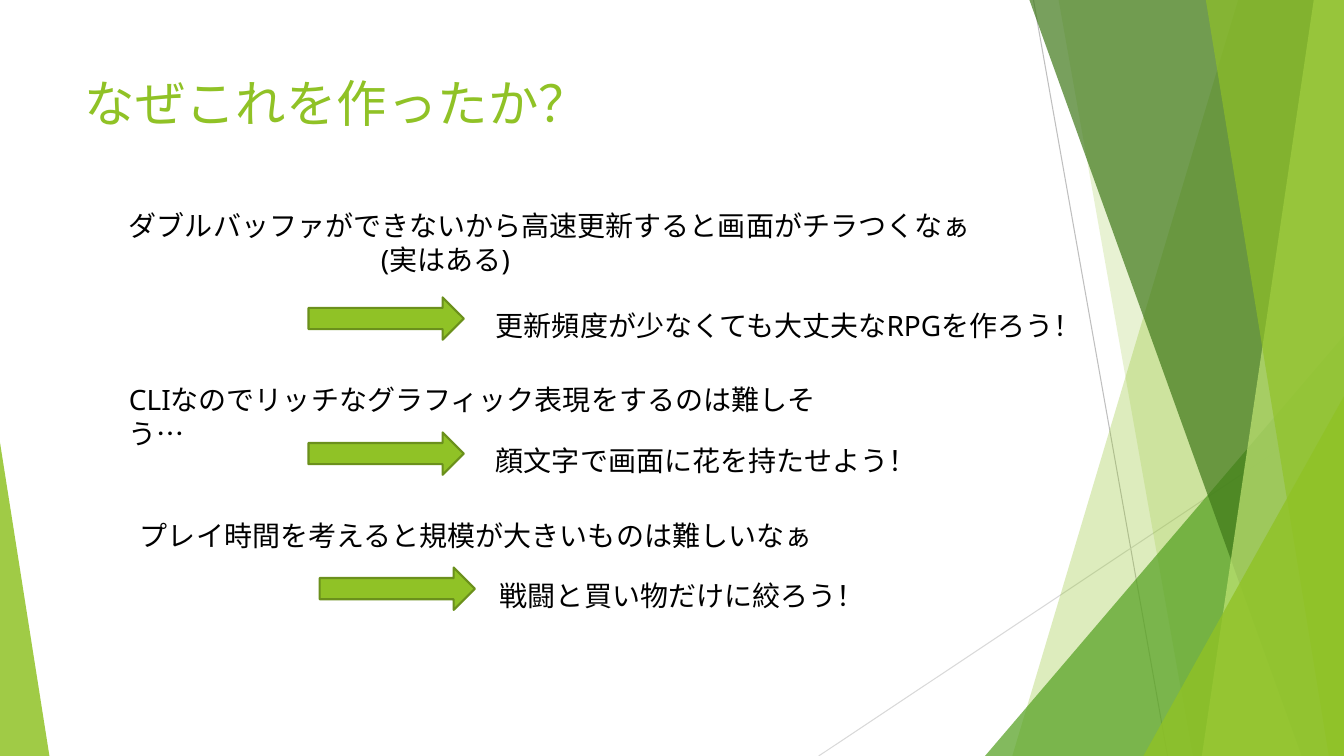
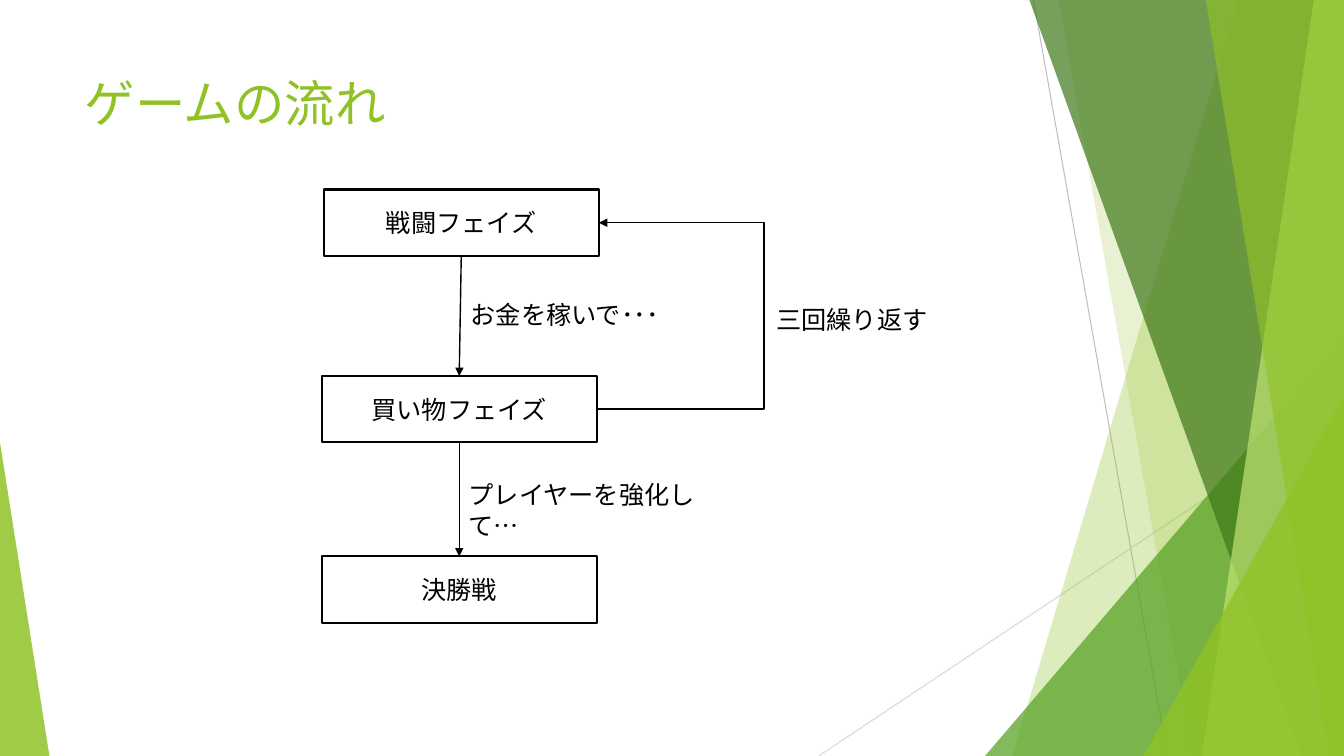
from lxml.etree import SubElement
from pptx import Presentation
from pptx.dml.color import RGBColor
from pptx.enum.shapes import MSO_CONNECTOR, MSO_SHAPE
from pptx.enum.text import MSO_ANCHOR, MSO_AUTO_SIZE, PP_ALIGN
from pptx.oxml.ns import qn
from pptx.util import Inches, Pt

WIDTH, HEIGHT = 13.33, 7.5
FONT = "Noto Sans"
GREEN, DARK_GREEN, BLACK, WHITE = "90C226", "6B901C", "000000", "FFFFFF"
TOP, LEFT, BOTTOM, RIGHT = range(4)  # connection sites of a rectangle


def color(hex_string):
    return RGBColor.from_string(hex_string)


class Deck:
    """Holds the shared style and the current slide."""

    def __init__(self):
        self.presentation = Presentation()
        self.presentation.slide_width = Inches(WIDTH)
        self.presentation.slide_height = Inches(HEIGHT)
        self.slide = None

    def add_slide(self, title):
        layout = self.presentation.slide_layouts[5]
        self.slide = self.presentation.slides.add_slide(layout)
        self.decorate()
        shape = self.slide.shapes.title
        shape.left, shape.top = Inches(0.74), Inches(0.67)
        shape.width, shape.height = Inches(9.4), Inches(1.44)
        self.set_text(shape, [title], 36, GREEN)

    def decorate(self):
        """Draw the facets along the slide's edges."""
        self.line(10.25, 0, 11.58, HEIGHT, "BFBFBF", 0.75)
        self.line(WIDTH, 4.03, 8.12, HEIGHT, "D9D9D9", 0.75)
        self.facet(12.28, 10.04, GREEN, 30)
        self.facet(10.5, 11.83, GREEN, 20)
        self.triangle(9.77, 3.33, 3.56, 1, "54A021", 72)
        self.facet(10.21, 12.91, "3F7819", 70)
        self.facet(13.03, 11.92, "C0E474", 70)
        self.facet(11.96, 13.18, GREEN, 65)
        self.triangle(11.34, 3.93, 1.99, 1, GREEN, 80)
        self.triangle(0, 4.39, 0.49, 0, GREEN, 85)

    def facet(self, top_x, bottom_x, fill, opacity):
        builder = self.slide.shapes.build_freeform(Inches(top_x), Inches(0))
        corners = [(WIDTH, 0), (WIDTH, HEIGHT), (bottom_x, HEIGHT)]
        builder.add_line_segments([(Inches(x), Inches(y)) for x, y in corners])
        self.paint(builder.convert_to_shape(), fill, opacity=opacity)

    def triangle(self, left, top, width, apex, fill, opacity):
        shape = self.shape(MSO_SHAPE.ISOSCELES_TRIANGLE, left, top, width, HEIGHT - top)
        shape.adjustments[0] = apex
        self.paint(shape, fill, opacity=opacity)

    def shape(self, kind, left, top, width, height):
        return self.slide.shapes.add_shape(
            kind, Inches(left), Inches(top), Inches(width), Inches(height))

    def paint(self, shape, fill, outline=None, opacity=100):
        shape.shadow.inherit = False
        shape.fill.solid()
        shape.fill.fore_color.rgb = color(fill)
        if opacity < 100:
            fill_color = shape._element.spPr.find(qn("a:solidFill"))[0]
            SubElement(fill_color, qn("a:alpha"), val=str(opacity * 1000))
        if outline:
            shape.line.color.rgb = color(outline)
            shape.line.width = Pt(1.5)
        else:
            shape.line.fill.background()

    def set_text(self, shape, lines, size, font_color=BLACK,
                 anchor=MSO_ANCHOR.TOP, alignment=PP_ALIGN.LEFT):
        frame = shape.text_frame
        frame.text = "\n".join(lines)
        frame.word_wrap = True
        frame.auto_size = MSO_AUTO_SIZE.NONE
        frame.vertical_anchor = anchor
        for paragraph in frame.paragraphs:
            paragraph.alignment = alignment
            for run in paragraph.runs:
                run.font.name = FONT
                run.font.size = Pt(size)
                run.font.color.rgb = color(font_color)

    def text(self, left, top, width, lines, size, height=0.44):
        box = self.slide.shapes.add_textbox(
            Inches(left), Inches(top), Inches(width), Inches(height))
        self.set_text(box, lines, size)
        return box

    def block_arrow(self, left, top):
        self.paint(self.shape(MSO_SHAPE.RIGHT_ARROW, left, top, 1.54, 0.42),
                   GREEN, DARK_GREEN)

    def phase(self, left, top, label):
        box = self.shape(MSO_SHAPE.RECTANGLE, left, top, 2.73, 0.66)
        self.paint(box, WHITE, BLACK)
        self.set_text(box, [label], 18, anchor=MSO_ANCHOR.MIDDLE,
                      alignment=PP_ALIGN.CENTER)
        return box

    def line(self, x1, y1, x2, y2, line_color, width, kind=MSO_CONNECTOR.STRAIGHT):
        connector = self.slide.shapes.add_connector(
            kind, Inches(x1), Inches(y1), Inches(x2), Inches(y2))
        connector.line.color.rgb = color(line_color)
        connector.line.width = Pt(width)
        SubElement(connector._element.spPr, qn("a:effectLst"))
        return connector

    def link(self, source, source_site, target, target_site,
             kind=MSO_CONNECTOR.STRAIGHT):
        connector = self.line(0, 0, 1, 1, BLACK, 1, kind)
        connector.begin_connect(source, source_site)
        connector.end_connect(target, target_site)
        outline = connector._element.spPr.find(qn("a:ln"))
        SubElement(outline, qn("a:tailEnd"), type="triangle")
        return connector

    def bend(self, connector, reach):
        """Push the elbow out by a distance in inches."""
        ratio = Inches(reach) / connector.width
        geometry = connector._element.spPr.find(qn("a:prstGeom"))
        guides = geometry.find(qn("a:avLst"))
        SubElement(guides, qn("a:gd"), name="adj1", fmla=f"val {round(ratio * 100000)}")


deck = Deck()

# Reasons: each problem leads to a decision
deck.add_slide("なぜこれを作ったか？")
problem = deck.text(
    1.18, 2.02, 8.62,
    ["ダブルバッファができないから高速更新すると画面がチラつくなぁ", "(実はある)"], 20, 0.77)
aside = problem.text_frame.paragraphs[1]
aside._p.get_or_add_pPr().set("marL", str(Inches(2.5)))
deck.text(1.18, 3.75, 7.53, ["CLIなのでリッチなグラフィック表現をするのは難しそう…"], 20)
deck.text(1.29, 5.09, 6.93, ["プレイ時間を考えると規模が大きいものは難しいなぁ"], 20)
decisions = [
    (3.06, 4.82, 6.04, "更新頻度が少なくても大丈夫なRPGを作ろう！"),
    (3.06, 4.82, 4.41, "顔文字で画面に花を持たせよう！"),
    (3.17, 4.86, 3.85, "戦闘と買い物だけに絞ろう！"),
]
for row, (arrow_left, text_left, width, decision) in enumerate(decisions):
    top = 2.95 + row * 1.34
    deck.block_arrow(arrow_left, top)
    deck.text(text_left, top + 0.06, width, [decision], 20)

# Game flow
deck.add_slide("ゲームの流れ")
battle = deck.phase(3.21, 1.88, "戦闘フェイズ")
shopping = deck.phase(3.19, 3.73, "買い物フェイズ")
final = deck.phase(3.19, 5.52, "決勝戦")
deck.link(battle, BOTTOM, shopping, TOP)
deck.link(shopping, BOTTOM, final, TOP)
repeat = deck.link(shopping, RIGHT, battle, RIGHT, MSO_CONNECTOR.ELBOW)
deck.bend(repeat, 1.65)
for left, top, width, label in [
    (4.57, 2.92, 2.1, "お金を稼いで･･･"),
    (7.6, 2.97, 1.72, "三回繰り返す"),
    (4.55, 4.71, 2.91, "プレイヤーを強化して…"),
]:
    deck.text(left, top, width, [label], 18, 0.4)

deck.presentation.save("out.pptx")
